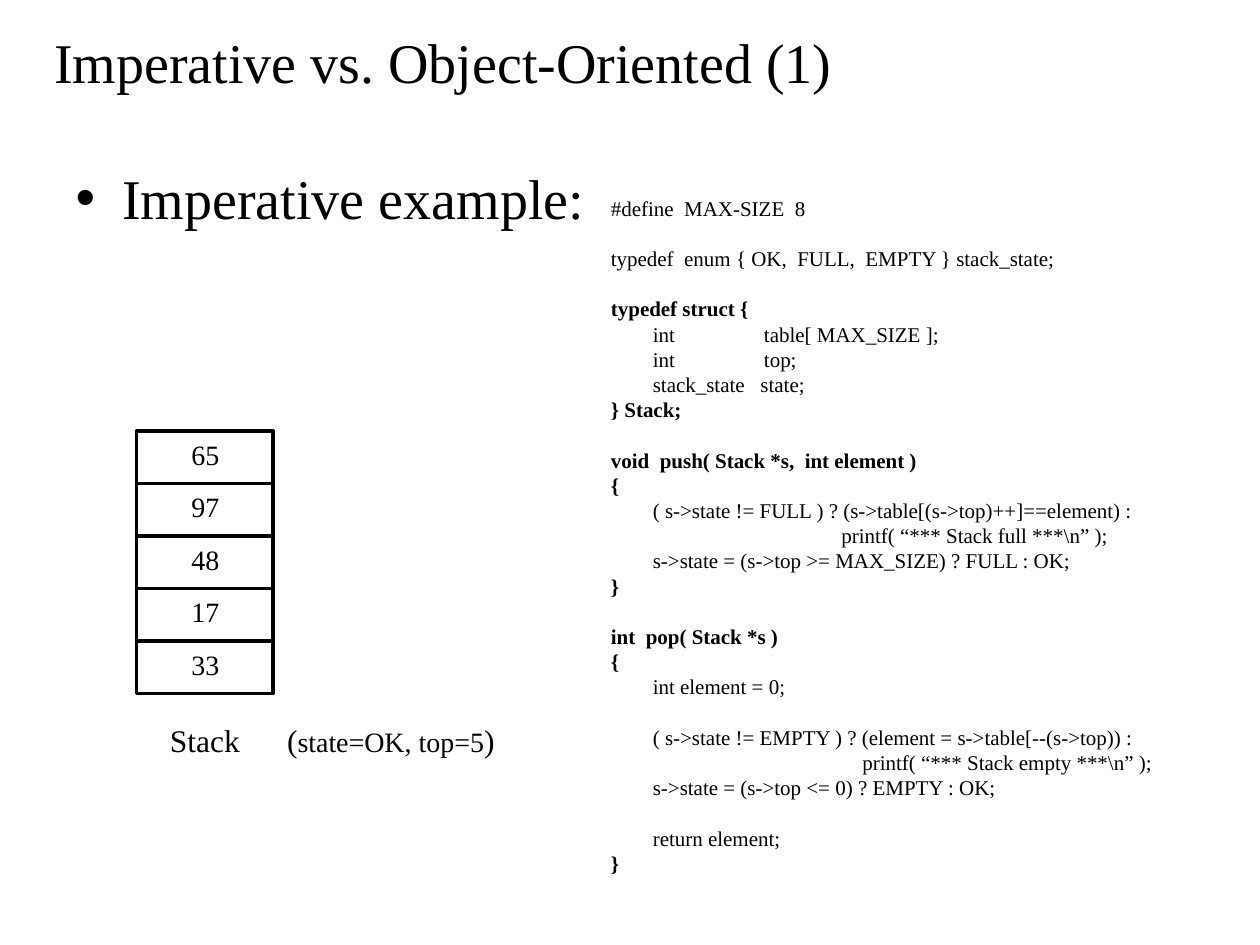
from pptx import Presentation
from pptx.dml.color import RGBColor
from pptx.enum.shapes import MSO_CONNECTOR, MSO_SHAPE
from pptx.enum.text import MSO_ANCHOR, MSO_AUTO_SIZE, PP_ALIGN
from pptx.oxml.ns import qn
from pptx.util import Inches, Pt
from lxml import etree

COLORS = {"ink": "000000", "paper": "FFFFFF"}
INK = RGBColor.from_string(COLORS["ink"])
FONT = "Times New Roman"
CODE = r"""#define  MAX-SIZE  8

typedef  enum { OK,  FULL,  EMPTY } stack_state;

typedef struct {
        int                 table[ MAX_SIZE ];
        int                 top;
        stack_state   state;
} Stack;

void  push( Stack *s,  int element )
{
        ( s->state != FULL ) ? (s->table[(s->top)++]==element) :
                                            printf( “*** Stack full ***\n” );
        s->state = (s->top >= MAX_SIZE) ? FULL : OK;
}

int  pop( Stack *s )
{
        int element = 0;

        ( s->state != EMPTY ) ? (element = s->table[--(s->top)) :
                                                printf( “*** Stack empty ***\n” );
        s->state = (s->top <= 0) ? EMPTY : OK;

        return element;
}"""
PLAIN_STARTS = (" ", "#define", "typedef  enum")


def add_run(p, text, size, bold=False):
    r = p.add_run()
    r.text = text
    r.font.name = FONT
    r.font.size = Pt(size)
    r.font.bold = bold
    r.font.color.rgb = INK


def set_frame(sp, wrap=True):
    tf = sp.text_frame
    tf.word_wrap = wrap
    tf.auto_size = MSO_AUTO_SIZE.NONE
    tf.vertical_anchor = MSO_ANCHOR.TOP
    return tf


prs = Presentation()
prs.slide_width, prs.slide_height = Inches(10), Inches(7.5)
s = prs.slides.add_slide(prs.slide_layouts[1])

title = s.shapes.title
title.left, title.top = Inches(0.33), Inches(0.17)
title.width, title.height = Inches(9.42), Inches(1.25)
p = set_frame(title).paragraphs[0]
p.alignment = PP_ALIGN.LEFT
add_run(p, "Imperative vs. Object-Oriented (1)", 32)

body = s.placeholders[1]
body.left, body.top = Inches(0.5), Inches(1.25)
body.width, body.height = Inches(9), Inches(0.75)
p = set_frame(body).paragraphs[0]
p.space_before = Pt(0)
pPr = p._p.get_or_add_pPr()
pPr.set("marL", str(Inches(0.37)))
pPr.set("indent", str(-Inches(0.37)))
etree.SubElement(pPr, qn("a:buChar")).set("char", "•")
add_run(p, "Imperative example:", 32)

code = s.shapes.add_textbox(Inches(4.75), Inches(1.5), Inches(4.92), Inches(5.5))
tf = set_frame(code)
p = tf.paragraphs[0]
for b, block in enumerate(CODE.split("\n\n")):
    for n, line in enumerate(block.split("\n")):
        if b or n:
            p = tf.add_paragraph()
        if b and n == 0:
            p.space_before = Pt(14.4)
        add_run(p, line, 12, not line.startswith(PLAIN_STARTS))

left, top, width = 13 / 12, 3.42, 13 / 12
cell_h = 1.25 / 3
for y, rows in [(top, 1), (top + cell_h, 4)]:
    frame = s.shapes.add_shape(MSO_SHAPE.RECTANGLE, Inches(left), Inches(y),
                               Inches(width), Inches(rows * cell_h))
    frame.shadow.inherit = False
    frame.fill.background()
    frame.line.color.rgb = INK
    frame.line.width = Pt(2)

for i in range(2, 5):
    y = Inches(top + i * cell_h)
    divider = s.shapes.add_connector(MSO_CONNECTOR.STRAIGHT, Inches(left), y,
                                     Inches(left + width), y)
    divider.line.color.rgb = INK
    divider.line.width = Pt(2)
    etree.SubElement(divider._element.spPr, qn("a:effectLst"))

for i, value in enumerate(["65", "97", "48", "17", "33"]):
    number = s.shapes.add_textbox(Inches(1.42), Inches(top + i * cell_h),
                                  Inches(0.42), Inches(0.37))
    add_run(set_frame(number, wrap=False).paragraphs[0], value, 16)

label = s.shapes.add_textbox(Inches(1.25), Inches(5.67), Inches(2.78), Inches(0.4))
label.fill.solid()
label.fill.fore_color.rgb = RGBColor.from_string(COLORS["paper"])
p = set_frame(label, wrap=False).paragraphs[0]
tabs = etree.SubElement(p._p.get_or_add_pPr(), qn("a:tabLst"))
tab = etree.SubElement(tabs, qn("a:tab"))
tab.set("pos", str(Inches(0.93)))
tab.set("algn", "l")
for text, size in [("Stack\t(", 18), ("state=OK, top=5", 16), (")", 18)]:
    add_run(p, text, size)

prs.save("out.pptx")
